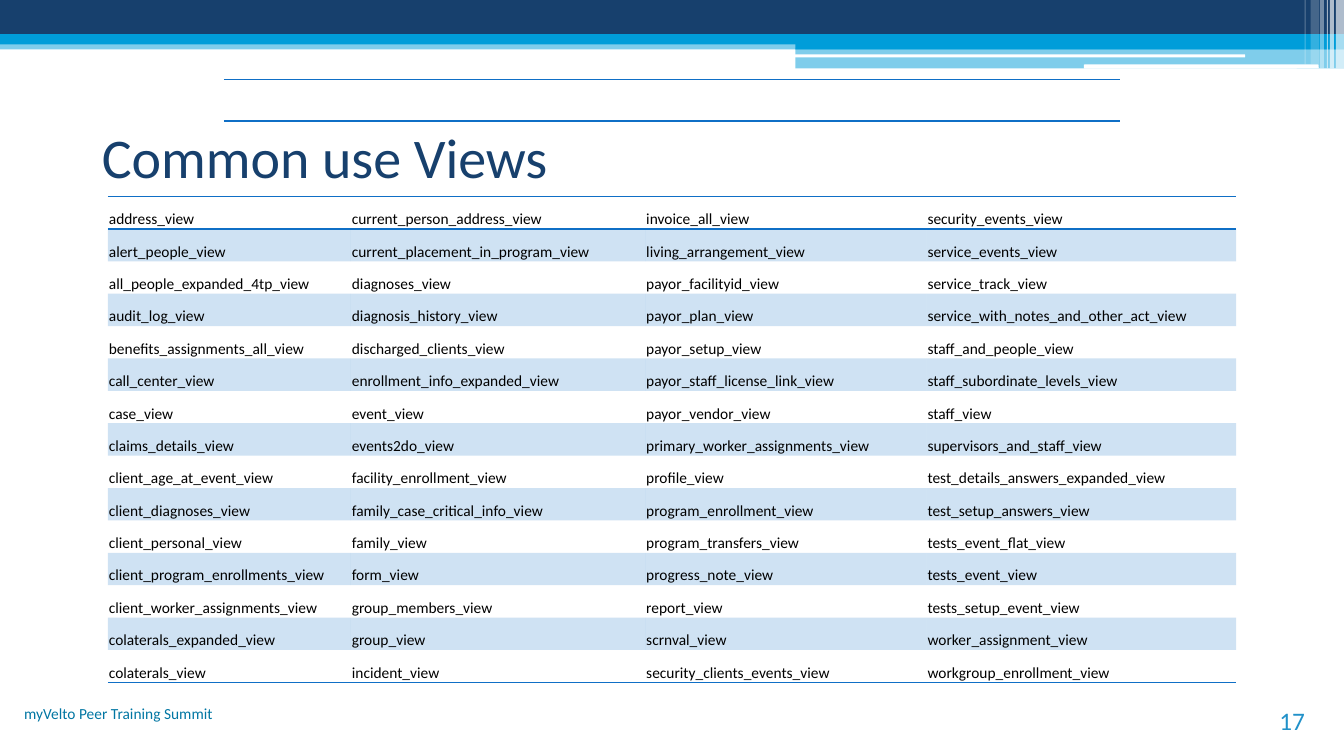
from pptx import Presentation
from pptx.dml.color import RGBColor
from pptx.enum import shapes, text
from pptx.oxml import parse_xml
from pptx.oxml import ns
from pptx.util import Inches, Pt

FONT = "Calibri"
COLORS = {
    "navy": "17406D", "cyan": "009DD9", "white": "FFFFFF", "black": "000000",
    "rule": "0F6FC6", "footer": "0076A3", "number": "2191C9",
}
NO_STYLE = "{2D5ABB26-0587-4C30-8999-92F81FD0307C}"

# left, top, width, height, colour, opacity in percent
BANDS = [
    (0, 0.4, 13.33, 0.09, "cyan", 50),
    (0, 0, 13.33, 0.34, "navy", 100),
    (0, 0.34, 13.33, 0.1, "cyan", 100),
    (7.89, 0.39, 5.44, 0.1, "cyan", 100),
    (7.89, 0.48, 5.44, 0.2, "cyan", 50),
]
SLITS = [(7.88, 0.54, 4.47, 0.03), (10.75, 0.64, 2.33, 0.04)]
# left, width, height, opacity in percent
STRIPES = [
    (13.25, 0.08, 0.68, 65), (13.19, 0.04, 0.68, 65), (13.16, 0.01, 0.68, 60),
    (13.09, 0.04, 0.68, 40), (13, 0.08, 0.64, 20), (12.94, 0.01, 0.64, 30),
]

VIEW_COLUMNS = [
    (2.41, """address_view alert_people_view all_people_expanded_4tp_view
        audit_log_view benefits_assignments_all_view call_center_view case_view
        claims_details_view client_age_at_event_view client_diagnoses_view
        client_personal_view client_program_enrollments_view
        client_worker_assignments_view colaterals_expanded_view
        colaterals_view"""),
    (2.92, """current_person_address_view current_placement_in_program_view
        diagnoses_view diagnosis_history_view discharged_clients_view
        enrollment_info_expanded_view event_view events2do_view
        facility_enrollment_view family_case_critical_info_view family_view
        form_view group_members_view group_view incident_view"""),
    (2.79, """invoice_all_view living_arrangement_view payor_facilityid_view
        payor_plan_view payor_setup_view payor_staff_license_link_view
        payor_vendor_view primary_worker_assignments_view profile_view
        program_enrollment_view program_transfers_view progress_note_view
        report_view scrnval_view security_clients_events_view"""),
    (3.07, """security_events_view service_events_view service_track_view
        service_with_notes_and_other_act_view staff_and_people_view
        staff_subordinate_levels_view staff_view supervisors_and_staff_view
        test_details_answers_expanded_view test_setup_answers_view
        tests_event_flat_view tests_event_view tests_setup_event_view
        worker_assignment_view workgroup_enrollment_view"""),
]


def rgb(name):
    return RGBColor.from_string(COLORS[name])


def paint(fill, color, opacity=100):
    """Fill with a solid colour, see-through when opacity is below 100."""
    fill.solid()
    fill.fore_color.rgb = rgb(color)
    if opacity < 100:
        tint = fill._xPr.find(".//" + ns.qn("a:srgbClr"))
        tint.append(parse_xml(
            f'<a:alpha {ns.nsdecls("a")} val="{opacity * 1000}"/>'))


def add_block(page, left, top, width, height, color, opacity=100,
              kind=shapes.MSO_SHAPE.RECTANGLE):
    block = page.shapes.add_shape(
        kind, Inches(left), Inches(top), Inches(width), Inches(height))
    block.shadow.inherit = False
    block.line.fill.background()
    paint(block.fill, color, opacity)


def add_header(page):
    for band in BANDS:
        add_block(page, *band)
    for slit in SLITS:
        add_block(page, *slit, "white",
                  kind=shapes.MSO_SHAPE.ROUNDED_RECTANGLE)
    for left, width, height, opacity in STRIPES:
        add_block(page, left, 0, width, height, "white", opacity)


def set_font(para, size, color):
    para.font.name = FONT
    para.font.size = Pt(size)
    para.font.color.rgb = rgb(color)


def set_title(page, wording):
    title = page.shapes.title
    title.left, title.top = Inches(0.91), Inches(0.96)
    title.width, title.height = Inches(11.21), Inches(1.17)
    frame = title.text_frame
    frame.text = wording
    frame.vertical_anchor = text.MSO_ANCHOR.MIDDLE
    frame.paragraphs[0].alignment = text.PP_ALIGN.LEFT
    set_font(frame.paragraphs[0], 40, "navy")


def add_label(page, left, top, width, height, wording, size, color, anchor):
    box = page.shapes.add_textbox(
        Inches(left), Inches(top), Inches(width), Inches(height))
    frame = box.text_frame
    frame.word_wrap = True
    frame.vertical_anchor = anchor
    frame.text = wording
    frame.paragraphs[0].alignment = text.PP_ALIGN.RIGHT
    set_font(frame.paragraphs[0], size, color)


def add_plain_table(page, left, top, widths, row_height, row_count):
    """Add a table with no style and no fill."""
    table = page.shapes.add_table(
        row_count, len(widths), Inches(left), Inches(top),
        Inches(sum(widths)), Inches(row_height * row_count)).table
    table.first_row = table.horz_banding = False
    table._tbl.tblPr.find(ns.qn("a:tableStyleId")).text = NO_STYLE
    for column, width in zip(table.columns, widths):
        column.width = Inches(width)
    for row in table.rows:
        row.height = Inches(row_height)
    return table


def add_rules(cell, *sides):
    """Rule the given sides, lnT before lnB; call before the cell is filled."""
    for side in sides:
        cell._tc.get_or_add_tcPr().append(parse_xml(
            f'<a:{side} {ns.nsdecls("a")} w="{Pt(1)}"><a:solidFill>'
            f'<a:srgbClr val="{COLORS["rule"]}"/></a:solidFill></a:{side}>'))


def add_views_table(page):
    widths = [width for width, _ in VIEW_COLUMNS]
    rows = list(zip(*(names.split() for _, names in VIEW_COLUMNS)))
    table = add_plain_table(page, 1.07, 1.95, widths, 4.82 / len(rows), len(rows))
    rules = {0: ("lnT", "lnB"), len(rows) - 1: ("lnB",)}
    for r, names in enumerate(rows):
        for c, name in enumerate(names):
            cell = table.cell(r, c)
            cell.text = name
            cell.vertical_anchor = text.MSO_ANCHOR.BOTTOM
            cell.margin_left = cell.margin_right = cell.margin_top = Inches(0.01)
            cell.margin_bottom = 0
            set_font(cell.text_frame.paragraphs[0], 11, "black")
            add_rules(cell, *rules.get(r, ()))
            if r % 2:
                paint(cell.fill, "rule", 20)
            else:
                cell.fill.background()


def add_empty_table(page):
    cell = add_plain_table(page, 2.22, 0.79, [8.89], 0.41, 1).cell(0, 0)
    add_rules(cell, "lnT", "lnB")
    cell.fill.background()


def main():
    deck = Presentation()
    deck.slide_width, deck.slide_height = Inches(13.33), Inches(7.5)
    page = deck.slides.add_slide(deck.slide_layouts.get_by_name("Title Only"))
    add_header(page)
    set_title(page, "Common use Views")
    add_label(page, 0, 6.94, 2.21, 0.5, "myVelto Peer Training Summit",
              11, "footer", text.MSO_ANCHOR.TOP)
    add_label(page, 11.93, 6.95, 1.11, 0.4, "17",
              18, "number", text.MSO_ANCHOR.BOTTOM)
    add_empty_table(page)
    add_views_table(page)
    deck.save("out.pptx")


if __name__ == "__main__":
    main()
